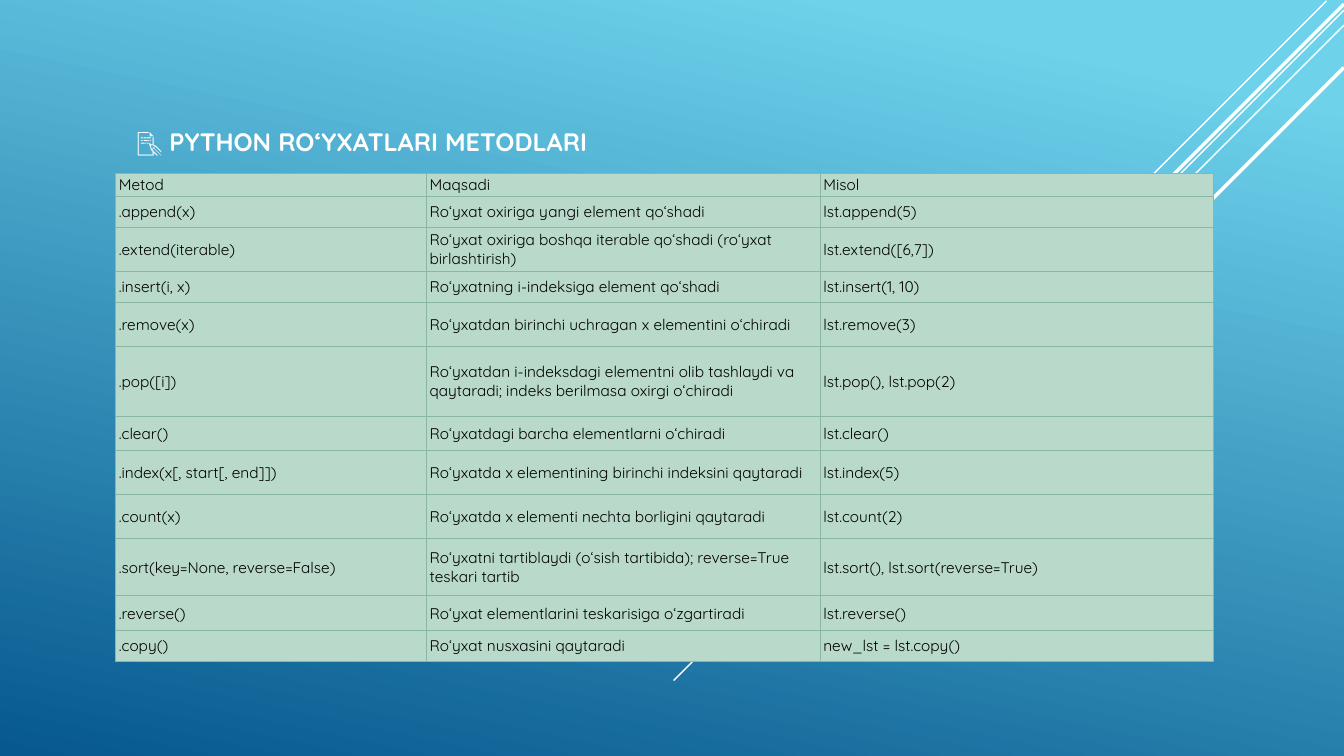
from dataclasses import dataclass

from lxml import etree
from pptx import Presentation
from pptx.dml.color import RGBColor
from pptx.enum.shapes import MSO_CONNECTOR
from pptx.enum.text import MSO_ANCHOR
from pptx.oxml.ns import qn
from pptx.util import Pt

STRAIGHT = MSO_CONNECTOR.STRAIGHT
BOTTOM = MSO_ANCHOR.BOTTOM
MIDDLE = MSO_ANCHOR.MIDDLE


@dataclass(frozen=True)
class Theme:
    font: str = "Quicksand"
    sky: str = "6ED2EB"
    sea: str = "06588E"
    white: str = "FFFFFF"
    black: str = "000000"
    cell: str = "B9DACA"
    border: str = "8AB7A1"
    title_size: float = 18
    cell_size: float = 11
    border_width: float = 0.75


THEME = Theme()

RAYS = [
    (947.5, 0.7, 300, 1),
    (960, 7.2, 478.8, 1),
    (960, 18, 390.2, 1),
    (960, 2.9, 382, 2.5),
    (960, 48.2, 342, 2.5),
]

COLUMN_WIDTHS = [222, 281.2, 280.8]

METHODS = [
    (16.2, "Metod", "Maqsadi", "Misol"),
    (22.2, ".append(x)", "Ro‘yxat oxiriga yangi element qo‘shadi", "lst.append(5)"),
    (31.4, ".extend(iterable)",
     "Ro‘yxat oxiriga boshqa iterable qo‘shadi (ro‘yxat birlashtirish)",
     "lst.extend([6,7])"),
    (22.2, ".insert(i, x)", "Ro‘yxatning i-indeksiga element qo‘shadi",
     "lst.insert(1, 10)"),
    (31.4, ".remove(x)", "Ro‘yxatdan birinchi uchragan x elementini o‘chiradi",
     "lst.remove(3)"),
    (50, ".pop([i])",
     "Ro‘yxatdan i-indeksdagi elementni olib tashlaydi va qaytaradi; "
     "indeks berilmasa oxirgi o‘chiradi",
     "lst.pop(), lst.pop(2)"),
    (24.8, ".clear()", "Ro‘yxatdagi barcha elementlarni o‘chiradi", "lst.clear()"),
    (31.4, ".index(x[, start[, end]])",
     "Ro‘yxatda x elementining birinchi indeksini qaytaradi", "lst.index(5)"),
    (31.4, ".count(x)", "Ro‘yxatda x elementi nechta borligini qaytaradi",
     "lst.count(2)"),
    (40.8, ".sort(key=None, reverse=False)",
     "Ro‘yxatni tartiblaydi (o‘sish tartibida); reverse=True teskari tartib",
     "lst.sort(), lst.sort(reverse=True)"),
    (24.8, ".reverse()", "Ro‘yxat elementlarini teskarisiga o‘zgartiradi",
     "lst.reverse()"),
    (22.2, ".copy()", "Ro‘yxat nusxasini qaytaradi", "new_lst = lst.copy()"),
]


def color(value):
    return RGBColor.from_string(value)


def set_font(font, size, value):
    font.name = THEME.font
    font.size = Pt(size)
    font.color.rgb = color(value)


def paint_background(page):
    fill = page.background.fill
    fill.gradient()
    fill.gradient_angle = 258
    stops = [(0.1, THEME.sky), (1, THEME.sea)]
    for stop, (position, value) in zip(fill.gradient_stops, stops):
        stop.position = position
        stop.color.rgb = color(value)


def add_ray(page, x, y, run, width):
    ray = page.shapes.add_connector(STRAIGHT, Pt(x), Pt(y), Pt(x - run), Pt(y + run))
    ray.line.color.rgb = color(THEME.white)
    ray.line.width = Pt(width)
    etree.SubElement(ray._element.spPr, qn("a:effectLst"))


def add_title(page, icon, title):
    box = page.shapes.add_textbox(Pt(90.7), Pt(48.2), Pt(694.8), Pt(67))
    frame = box.text_frame
    frame.word_wrap = True
    frame.vertical_anchor = BOTTOM
    para = frame.paragraphs[0]
    set_font(para.font, THEME.title_size, THEME.white)
    para.add_run().text = icon
    span = para.add_run()
    span.text = title
    span.font.bold = True


def add_borders(cell):
    properties = cell._tc.get_or_add_tcPr()
    for index, side in enumerate(("lnL", "lnR", "lnT", "lnB")):
        line = etree.Element(qn(f"a:{side}"), w=str(Pt(THEME.border_width)))
        fill = etree.SubElement(line, qn("a:solidFill"))
        etree.SubElement(fill, qn("a:srgbClr"), val=THEME.border)
        properties.insert(index, line)


def fill_cell(cell, text):
    cell.margin_left = cell.margin_right = Pt(2.3)
    cell.margin_top = cell.margin_bottom = Pt(1.15)
    cell.vertical_anchor = MIDDLE
    cell.fill.solid()
    cell.fill.fore_color.rgb = color(THEME.cell)
    add_borders(cell)
    para = cell.text_frame.paragraphs[0]
    para.text = text
    set_font(para.font, THEME.cell_size, THEME.black)


def add_method_table(page):
    height = sum(row[0] for row in METHODS)
    table = page.shapes.add_table(
        len(METHODS), len(COLUMN_WIDTHS),
        Pt(82.6), Pt(124), Pt(sum(COLUMN_WIDTHS)), Pt(height),
    ).table
    table.first_row = False
    table.horz_banding = False
    for column, width in zip(table.columns, COLUMN_WIDTHS):
        column.width = Pt(width)
    for row, (row_height, *texts) in zip(table.rows, METHODS):
        row.height = Pt(row_height)
        for cell, text in zip(row.cells, texts):
            fill_cell(cell, text)


def main():
    deck = Presentation()
    deck.slide_width = Pt(960)
    deck.slide_height = Pt(540)
    page = deck.slides.add_slide(deck.slide_layouts[6])
    paint_background(page)
    for ray in RAYS:
        add_ray(page, *ray)
    add_title(page, "📝 ", "PYTHON RO‘YXATLARI METODLARI")
    add_method_table(page)
    deck.save("out.pptx")


if __name__ == "__main__":
    main()
